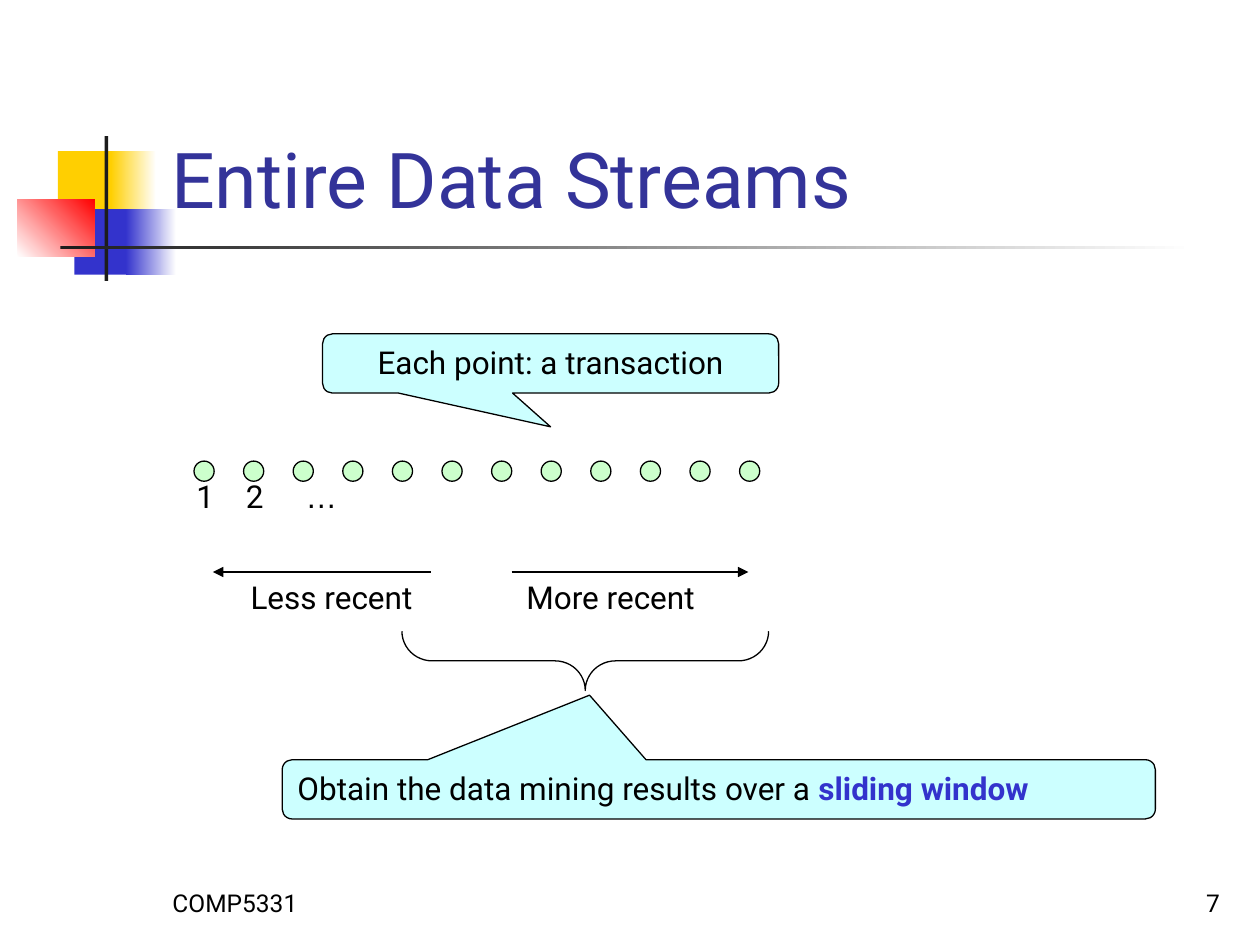
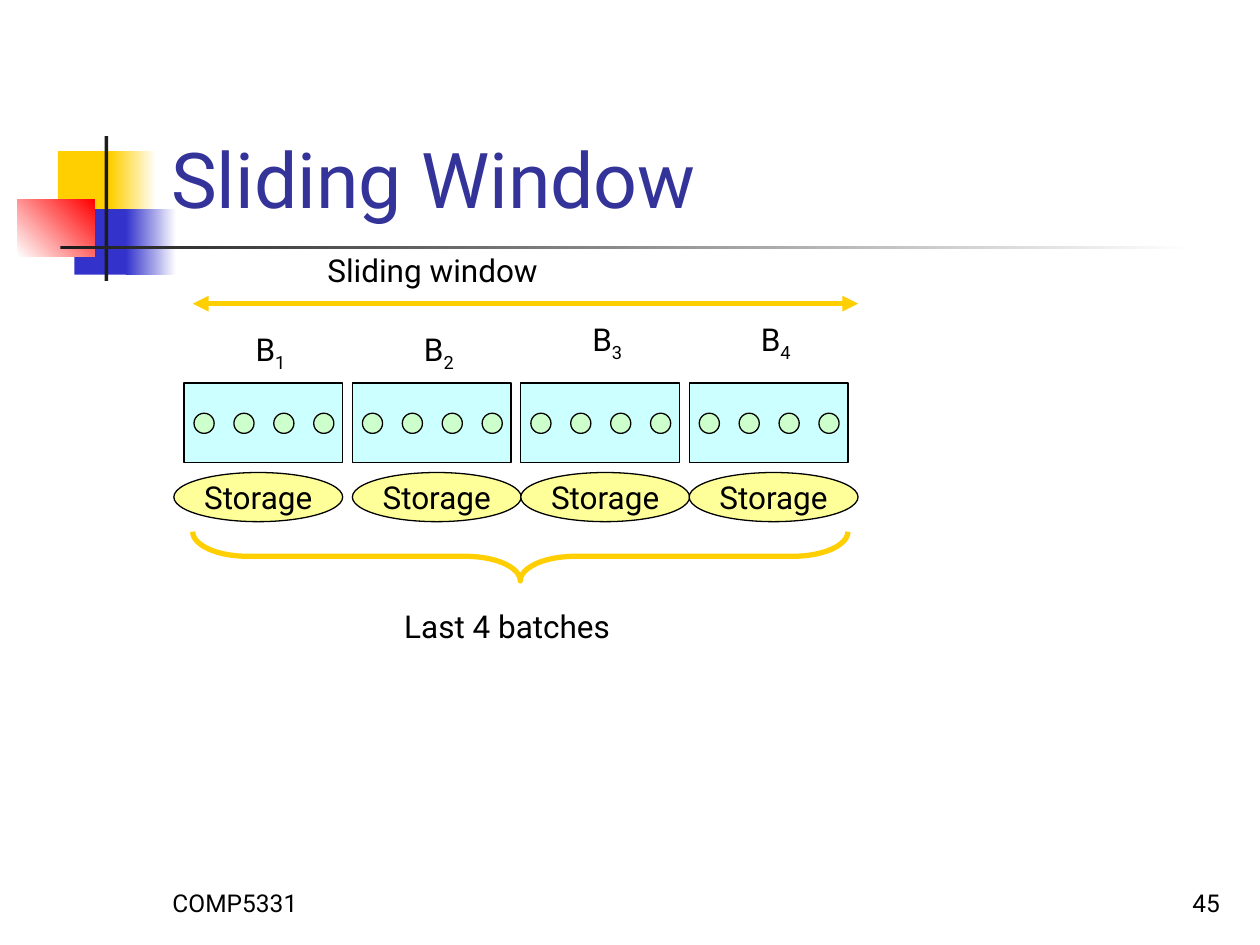
from lxml import etree
from pptx import Presentation
from pptx.dml.color import RGBColor
from pptx.enum.shapes import MSO_CONNECTOR, MSO_SHAPE
from pptx.enum.text import MSO_ANCHOR, MSO_AUTO_SIZE, PP_ALIGN
from pptx.oxml.ns import qn
from pptx.util import Inches, Pt

RECT, OVAL = MSO_SHAPE.RECTANGLE, MSO_SHAPE.OVAL
CALLOUT, BRACE = MSO_SHAPE.ROUNDED_RECTANGULAR_CALLOUT, MSO_SHAPE.LEFT_BRACE
STRAIGHT = MSO_CONNECTOR.STRAIGHT
TOP, MIDDLE, BOTTOM = MSO_ANCHOR.TOP, MSO_ANCHOR.MIDDLE, MSO_ANCHOR.BOTTOM
LEFT, CENTER, RIGHT = PP_ALIGN.LEFT, PP_ALIGN.CENTER, PP_ALIGN.RIGHT
GROW = MSO_AUTO_SIZE.SHAPE_TO_FIT_TEXT

FONT = "Roboto"
BLACK, WHITE, INK = "000000", "FFFFFF", "1C1C1C"
GOLD, BLUE, RED, NAVY = "FFCF01", "3333CC", "FF0000", "333399"
CYAN, GREEN, YELLOW = "CCFFFF", "CCFFCC", "FFFF99"
DOT = 0.16


def color(code):
    """Turn a hex string into a colour."""
    return RGBColor.from_string(code)


def style(run, size=18, code=BLACK, font=FONT):
    """Set the font of one run."""
    run.font.name = font
    run.font.size = Pt(size)
    run.font.color.rgb = color(code)


def write(shape, parts, anchor=TOP, align=LEFT, wrap=True, **look):
    """Write runs into the first paragraph of a shape and return them."""
    frame = shape.text_frame
    frame.word_wrap = wrap
    frame.vertical_anchor = anchor
    para = frame.paragraphs[0]
    para.alignment = align
    for part in parts:
        run = para.add_run()
        run.text = part
        style(run, **look)
    return para.runs


def label(slide, box, *parts, grow=True, **look):
    """Place a text box and return its runs."""
    shape = slide.shapes.add_textbox(*map(Inches, box))
    runs = write(shape, parts, wrap=not grow, **look)
    if grow:
        shape.text_frame.auto_size = GROW
    return runs


def draw(slide, kind, box, fill=None, line=None, width=0.75):
    """Place a preset shape with a plain fill and line."""
    shape = slide.shapes.add_shape(kind, *map(Inches, box))
    shape.shadow.inherit = False
    if fill:
        shape.fill.solid()
        shape.fill.fore_color.rgb = color(fill)
    else:
        shape.fill.background()
    if line:
        shape.line.color.rgb = color(line)
        shape.line.width = Pt(width)
    else:
        shape.line.fill.background()
    return shape


def fade(slide, box, start, end, angle=0):
    """Place a rectangle that fades between two colours."""
    shape = draw(slide, RECT, box, start)
    shape.fill.gradient()
    shape.fill.gradient_angle = angle
    for stop, code in zip(shape.fill.gradient_stops, (start, end)):
        stop.color.rgb = color(code)


def arrow(slide, start, end, y, code=BLACK, width=0.75, ends=("tailEnd",)):
    """Draw a level arrow with heads at the named ends."""
    link = slide.shapes.add_connector(STRAIGHT, *map(Inches, (start, y, end, y)))
    link.line.color.rgb = color(code)
    link.line.width = Pt(width)
    for end_tag in ends:
        etree.SubElement(link.line._get_or_add_ln(), qn("a:" + end_tag), type="triangle")
    etree.SubElement(link._element.spPr, qn("a:effectLst"))


def brace(slide, box, curve, **look):
    """Draw a brace that points down and fills the box."""
    x, y, w, h = box
    shape = draw(slide, BRACE, (x + (w - h) / 2, y + (h - w) / 2, h, w), **look)
    shape.rotation = 270
    shape.adjustments[0] = curve


def callout(slide, box, tip, *parts, align=LEFT):
    """Place a callout with its tip relative to its centre."""
    shape = draw(slide, CALLOUT, box, CYAN, BLACK)
    for i, value in enumerate((*tip, 0.167)):
        shape.adjustments[i] = value
    return write(shape, parts, align=align)


def dots(slide, x, y, count, step):
    """Draw a row of equal dots."""
    for i in range(count):
        draw(slide, OVAL, (x + i * step, y, DOT, DOT), GREEN, BLACK)


def motif(slide, x, y):
    """Draw the coloured blocks and bars beside the title."""
    for dx, dy, code, side, width in ((0.32, 0.12, GOLD, 0.42, 0.36),
                                      (0.45, 0.58, BLUE, 0.41, 0.4)):
        draw(slide, RECT, (x + dx, y + dy, 0.47, 0.52), code)
        fade(slide, (x + dx + side, y + dy, width, 0.52), code, WHITE)
    fade(slide, (x, y + 0.5, 0.61, 0.46), WHITE, RED, 45)
    draw(slide, RECT, (x + 0.69, y, 0.03, 1.15), INK)
    fade(slide, (x + 0.34, y + 0.87, 9, 0.03), INK, WHITE)


def base(deck, title, number):
    """Add a slide with motif, title and footer."""
    slide = deck.slides.add_slide(deck.slide_layouts[6])
    motif(slide, 0.14, 1.08)
    label(slide, (1.26, 0.23, 8.52, 1.6), title, grow=False, anchor=BOTTOM,
          size=44, code=NAVY)
    for x, text, align in ((1.27, "COMP5331", LEFT), (7.7, number, RIGHT)):
        label(slide, (x, 6.83, 2.08, 0.5), text, grow=False, anchor=BOTTOM,
              align=align, size=14)
    return slide


def points(slide, x, y):
    """Draw the row of transactions with its labels."""
    step = 4.33 / 11
    dots(slide, x, y, 12, step)
    for i, text in enumerate("12"):
        label(slide, (x - 0.08 + i * step, y + 0.08, 0.34, 0.4), text)
    label(slide, (x + 2 * step, y + 0.08, 0.45, 0.4), "…", font="Arial")


def ages(slide, x, y):
    """Draw the two arrows of age with their labels."""
    arrow(slide, x + 1.73, x, y)
    label(slide, (x + 0.2, y, 1.52, 0.4), "Less recent")
    arrow(slide, x + 2.37, x + 4.25, y)
    label(slide, (x + 2.39, y, 1.64, 0.4), "More recent")


def streams(deck):
    """Build the slide on entire data streams."""
    slide = base(deck, "Entire Data Streams", "7")
    points(slide, 1.54, 3.66)
    ages(slide, 1.69, 4.54)
    callout(slide, (2.56, 2.65, 3.62, 0.47), (0, 1.07),
            "Each point: a transaction", align=CENTER)
    brace(slide, (3.19, 5.01, 2.91, 0.47), 0.51, line=BLACK)
    key = callout(slide, (2.24, 6.03, 6.93, 0.47), (-0.148, -1.59),
                  "Obtain the data mining results over a ", "sliding window")[1]
    key.font.bold = True
    key.font.color.rgb = color(BLUE)


def batch(slide, x, y, index, rise, shift):
    """Draw one batch with its name, dots and storage."""
    draw(slide, RECT, (x, y, 1.26, 0.63), CYAN, BLACK)
    runs = label(slide, (x + 0.47, y - rise, 0.44, 0.44), "B", str(index))
    runs[1]._r.get_or_add_rPr().set("baseline", "-25000")
    dots(slide, x + 0.08, y + 0.24, 4, 0.95 / 3)
    store = draw(slide, OVAL, (x - shift, y + 0.71, 1.34, 0.39), YELLOW, BLACK)
    write(store, ["Storage"], anchor=MIDDLE, align=CENTER, wrap=False)


def window(deck):
    """Build the slide on the sliding window."""
    slide = base(deck, "Sliding Window", "45")
    arrow(slide, 1.53, 6.81, 2.41, GOLD, 3, ("headEnd", "tailEnd"))
    label(slide, (2.5, 1.94, 1.97, 0.4), "Sliding window")
    looks = ((0.47, 0.08), (0.47, 0), (0.55, 0), (0.55, 0))
    for i, (rise, shift) in enumerate(looks):
        batch(slide, 1.46 + i * 4.01 / 3, 3.04, i + 1, rise, shift)
    brace(slide, (1.53, 4.22, 5.2, 0.39), 1.12, line=GOLD, width=3)
    label(slide, (3.11, 4.77, 1.89, 0.4), "Last 4 batches", grow=False)


def main():
    """Build and save the deck."""
    deck = Presentation()
    deck.slide_width, deck.slide_height = Inches(10), Inches(7.5)
    streams(deck)
    window(deck)
    deck.save("out.pptx")


if __name__ == "__main__":
    main()
